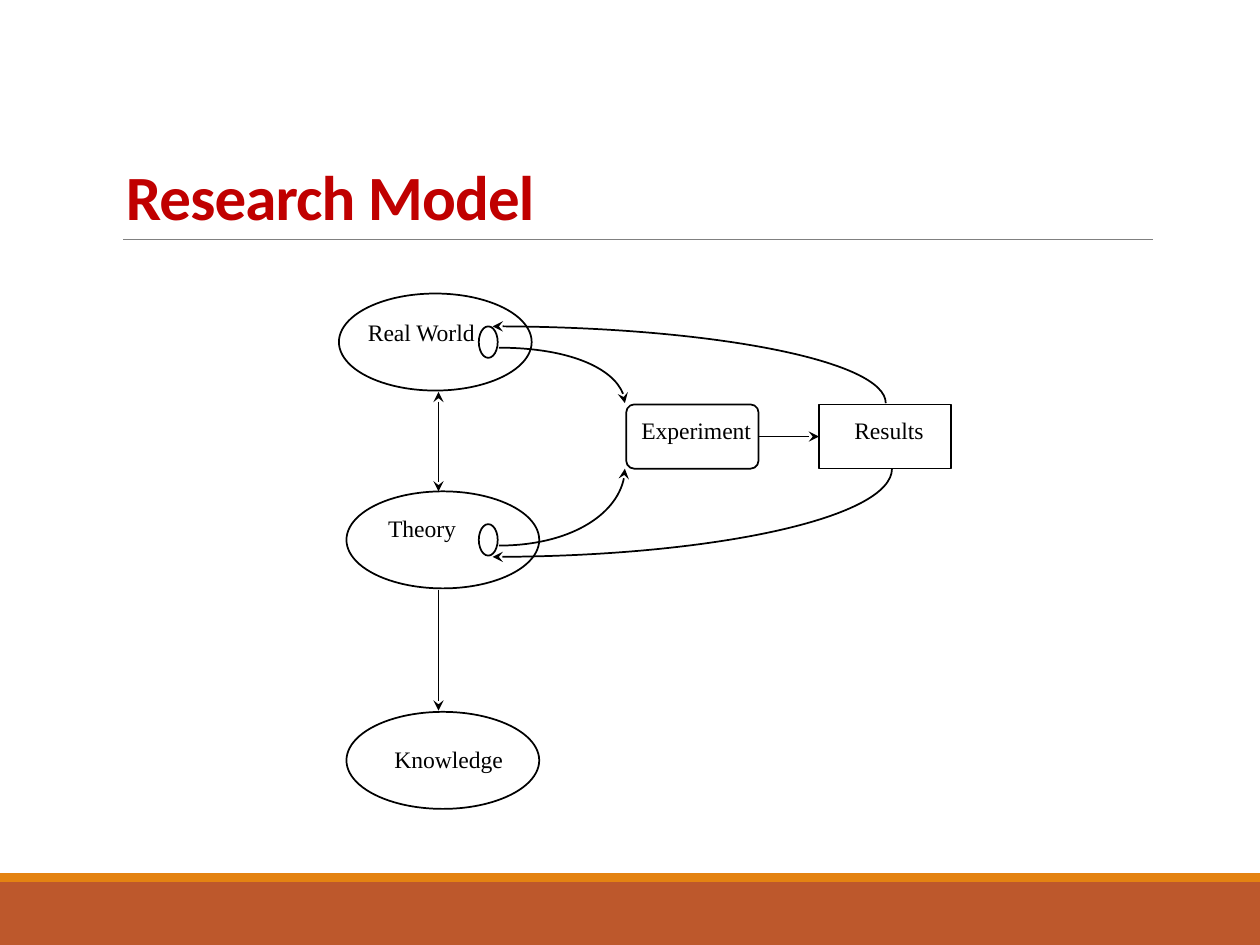
import dataclasses

import pptx
import pptx.dml.color
import pptx.enum.shapes
import pptx.enum.text
import pptx.oxml
import pptx.oxml.ns
import pptx.util

SHAPE = pptx.enum.shapes.MSO_SHAPE
ANCHOR = pptx.enum.text.MSO_ANCHOR
COLUMNS, ROWS = 100, 75
SLIDE_WIDTH, SLIDE_HEIGHT = pptx.util.Inches(10), pptx.util.Inches(7.5)
ARC_PULL = 0.55


@dataclasses.dataclass(frozen=True)
class Theme:
    ink: str = "000000"
    paper: str = "FFFFFF"
    title: str = "C00000"
    rule: str = "808080"
    band: str = "BD582C"
    stripe: str = "E48312"
    title_font: str = "Calibri"
    label_font: str = "Times New Roman"
    title_size: float = 36
    label_size: float = 13.5
    rule_width: float = 0.5
    line_width: float = 1


THEME = Theme()


def col(count):
    return round(SLIDE_WIDTH * count / COLUMNS)


def row(count):
    return round(SLIDE_HEIGHT * count / ROWS)


def place(left, top, width, height):
    return col(left), row(top), col(width), row(height)


def rgb(value):
    return pptx.dml.color.RGBColor.from_string(value)


def style_line(line, color=THEME.ink, width=THEME.line_width, arrows=()):
    line.color.rgb = rgb(color)
    line.width = pptx.util.Pt(width)
    properties = line.color._xFill.getparent()
    for end in arrows:
        tip = pptx.oxml.parse_xml(
            f'<a:{end} {pptx.oxml.ns.nsdecls("a")} type="stealth"/>')
        properties.append(tip)


def add_text(slide, text, box, *, font=THEME.label_font, size=THEME.label_size,
             color=THEME.ink, bold=False, anchor=ANCHOR.TOP,
             insets=(0.08, 0.04), line_spacing=None, tracking=None):
    frame = slide.shapes.add_textbox(*place(*box)).text_frame
    frame.word_wrap = True
    frame.vertical_anchor = anchor
    side, edge = map(pptx.util.Inches, insets)
    frame.margin_left = frame.margin_right = side
    frame.margin_top = frame.margin_bottom = edge
    paragraph = frame.paragraphs[0]
    paragraph.line_spacing = line_spacing
    run = paragraph.add_run()
    run.text = text
    run.font.name = font
    run.font.size = pptx.util.Pt(size)
    run.font.bold = bold
    run.font.color.rgb = rgb(color)
    if tracking is not None:
        run.font._element.set("spc", str(round(tracking * 100)))


def add_block(slide, kind, box, fill=THEME.paper, outlined=True):
    block = slide.shapes.add_shape(kind, *place(*box))
    block.shadow.inherit = False
    block.fill.solid()
    block.fill.fore_color.rgb = rgb(fill)
    if outlined:
        style_line(block.line)
    else:
        block.line.fill.background()
    return block


def add_straight(slide, start, end, **line_format):
    straight = slide.shapes.add_connector(
        pptx.enum.shapes.MSO_CONNECTOR.STRAIGHT,
        col(start[0]), row(start[1]), col(end[0]), row(end[1]))
    style_line(straight.line, **line_format)
    straight._element.spPr.append(pptx.oxml.parse_xml(
        f'<a:effectLst {pptx.oxml.ns.nsdecls("a")}/>'))
    return straight


def add_quarter_arc(slide, flat_end, steep_end, arrow):
    (x0, y0), (x1, y1) = flat_end, steep_end
    points = [(x0 + ARC_PULL * (x1 - x0), y0),
              (x1, y1 + ARC_PULL * (y0 - y1)), steep_end]
    builder = slide.shapes.build_freeform(col(x0), row(y0))
    builder.add_line_segments([(col(x), row(y)) for x, y in points], close=False)
    arc = builder.convert_to_shape()
    outline = arc._element.find(".//" + pptx.oxml.ns.qn("a:path"))
    bezier = pptx.oxml.parse_xml(
        f'<a:cubicBezTo {pptx.oxml.ns.nsdecls("a")}/>')
    for segment in outline.findall(pptx.oxml.ns.qn("a:lnTo")):
        bezier.append(segment[0])
        outline.remove(segment)
    outline.append(bezier)
    arc.shadow.inherit = False
    arc.fill.background()
    style_line(arc.line, arrows=[arrow])


def add_frame(slide):
    add_block(slide, SHAPE.RECTANGLE, (0, 70, COLUMNS, 5), THEME.band, False)
    add_block(slide, SHAPE.RECTANGLE, (0, 69.3, COLUMNS, 0.7), THEME.stripe, False)
    add_straight(slide, (9.8, 19), (91.5, 19),
                 color=THEME.rule, width=THEME.rule_width)
    add_text(slide, "Research Model", (9, 3.1, 82.5, 15.9),
             font=THEME.title_font, size=THEME.title_size, color=THEME.title,
             bold=True, anchor=ANCHOR.BOTTOM, insets=(0.1, 0.05),
             line_spacing=0.85, tracking=-0.5)


def add_concepts(slide):
    for left, top in ((26.9, 23.3), (27.5, 39), (27.5, 56.5)):
        add_block(slide, SHAPE.OVAL, (left, top, 15.3, 7.7))
    for top in (25.9, 41.6):
        add_block(slide, SHAPE.OVAL, (38, top, 1.5, 2.5))
    add_straight(slide, (34.8, 31.1), (34.8, 39), arrows=["headEnd", "tailEnd"])
    add_straight(slide, (34.8, 46.8), (34.8, 56.4), arrows=["tailEnd"])


def add_study(slide):
    experiment = add_block(slide, SHAPE.ROUNDED_RECTANGLE, (49.7, 32.1, 10.5, 5.1))
    experiment.adjustments[0] = 0.125
    results = add_block(slide, SHAPE.RECTANGLE, (65, 32.1, 10.5, 5.1))
    outcome = add_straight(slide, (60.2, 34.65), (65, 34.65), arrows=["tailEnd"])
    outcome.begin_connect(experiment, 3)
    outcome.end_connect(results, 1)


def add_labels(slide):
    for text, left, top, width in (
            ("Real World", 28.4, 24.8, 12.6), ("Theory", 30, 40.4, 8.7),
            ("Knowledge", 30.5, 58.7, 12.8), ("Experiment", 50.1, 32.6, 12.9),
            ("Results", 67, 32.6, 8.9)):
        add_text(slide, text, (left, top, width, 4.2))


def add_flows(slide):
    for flat_end, steep_end, arrow in (
            ((39.6, 27.6), (49.6, 32), "tailEnd"),
            ((39.6, 43.3), (49.6, 37.2), "tailEnd"),
            ((39.1, 25.9), (70.3, 32), "headEnd"),
            ((39.1, 44.2), (70.8, 37.2), "headEnd")):
        add_quarter_arc(slide, flat_end, steep_end, arrow)


def main():
    deck = pptx.Presentation()
    deck.slide_width, deck.slide_height = SLIDE_WIDTH, SLIDE_HEIGHT
    slide = deck.slides.add_slide(deck.slide_layouts[6])
    add_frame(slide)
    add_concepts(slide)
    add_study(slide)
    add_labels(slide)
    add_flows(slide)
    deck.save("out.pptx")


if __name__ == "__main__":
    main()
